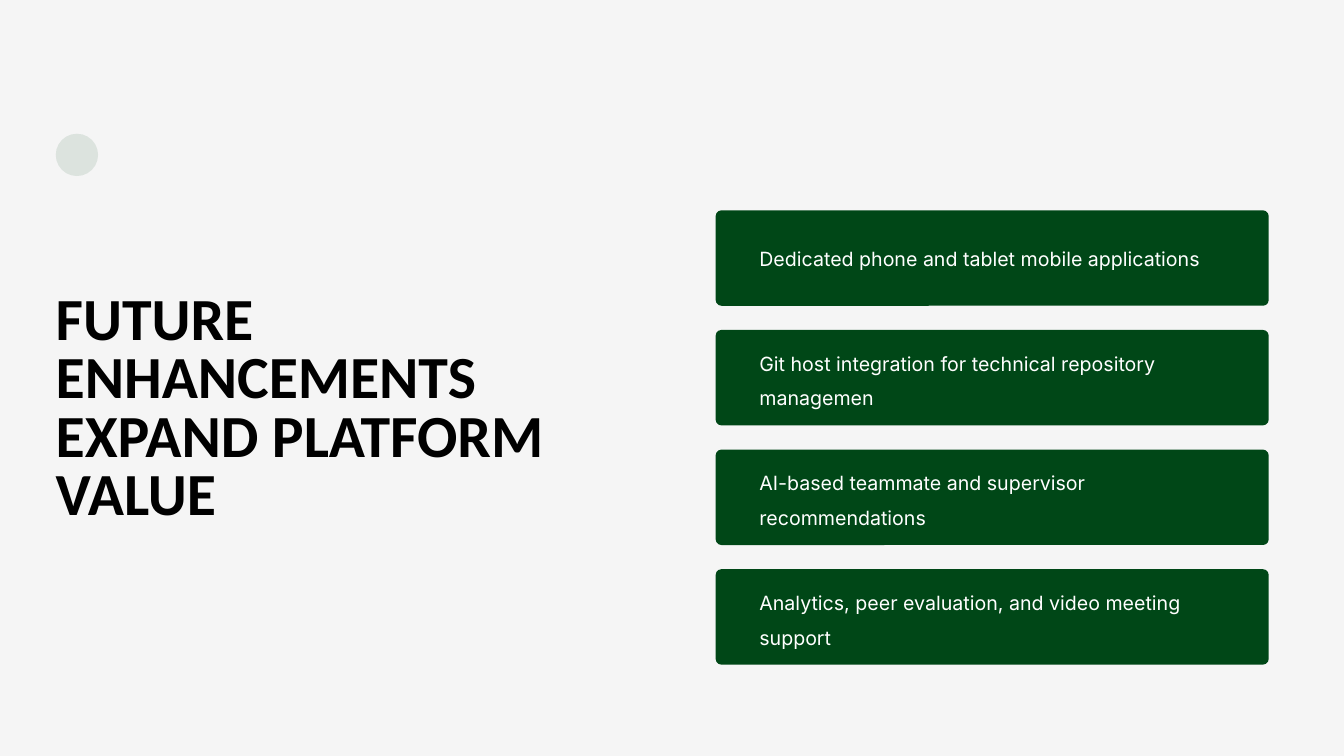
import pptx
import pptx.util
import pptx.dml.color
import pptx.enum.shapes
import pptx.enum.text
import lxml.etree
from pptx.util import Inches, Pt

GREEN = "004717"
ENHANCEMENTS = [
    # text, number of lines it fills
    ("Dedicated phone and tablet mobile applications", 1),
    ("Git host integration for technical repository managemen", 2),
    ("AI-based teammate and supervisor recommendations", 2),
    ("Analytics, peer evaluation, and video meeting support", 2),
]
TEXT_BOXES = {1: (0.38, 0.47), 2: (0.16, 0.98)}  # lines: top offset, height


def rgb(color):
    return pptx.dml.color.RGBColor.from_string(color)


def add_shape(slide, kind, x, y, w, h, color, alpha=None):
    """Add a filled, unlined preset shape; alpha is opacity in percent."""
    sp = slide.shapes.add_shape(kind, Inches(x), Inches(y), Inches(w), Inches(h))
    sp.shadow.inherit = False
    sp.line.fill.background()
    sp.fill.solid()
    sp.fill.fore_color.rgb = rgb(color)
    if alpha is not None:
        ns = pptx.oxml.ns.qn
        clr = sp.fill._xPr.find(ns("a:solidFill")).find(ns("a:srgbClr"))
        lxml.etree.SubElement(clr, ns("a:alpha"), val=str(alpha * 1000))
    return sp


def add_text(slide, text, x, y, w, h, font, size, color, spacing, bold=False):
    sp = slide.shapes.add_textbox(Inches(x), Inches(y), Inches(w), Inches(h))
    tf = sp.text_frame
    tf.word_wrap = True
    tf.auto_size = pptx.enum.text.MSO_AUTO_SIZE.SHAPE_TO_FIT_TEXT
    tf.margin_left = tf.margin_right = tf.margin_top = tf.margin_bottom = 0
    p = tf.paragraphs[0]
    p.line_spacing = Pt(spacing)
    r = p.add_run()
    r.text = text
    r.font.name = font
    r.font.size = Pt(size)
    r.font.bold = bold
    r.font.color.rgb = rgb(color)


def add_heading(slide, x, y, w):
    """Place the pale dot and the slide title below it."""
    add_shape(slide, pptx.enum.shapes.MSO_SHAPE.OVAL, x, y, 0.63, 0.63, GREEN, alpha=10)
    add_text(slide, "FUTURE ENHANCEMENTS EXPAND PLATFORM VALUE", x, y + 2.38, w, 3.51,
             font="Calibri", size=64, color="000000", spacing=62.7, bold=True)


def add_card(slide, text, lines, x, y, w, h):
    sp = add_shape(slide, pptx.enum.shapes.MSO_SHAPE.ROUNDED_RECTANGLE, x, y, w, h, GREEN)
    sp.adjustments[0] = 0.06
    top, height = TEXT_BOXES[lines]
    add_text(slide, text, x + 0.65, y + top, w - 1.31, height,
             font="Inter", size=21, color="FFFFFF", spacing=37)


def add_cards(slide, x, y, w, h, card_h=1.42):
    """Stack the cards evenly so that they fill the given height."""
    step = (h - card_h) / (len(ENHANCEMENTS) - 1)
    for i, (text, lines) in enumerate(ENHANCEMENTS):
        add_card(slide, text, lines, x, y + i * step, w, card_h)


def main():
    prs = pptx.Presentation()
    prs.slide_width, prs.slide_height = Inches(20), Inches(11.25)
    s = prs.slides.add_slide(prs.slide_layouts[6])
    s.background.fill.solid()
    s.background.fill.fore_color.rgb = rgb("F5F5F5")
    add_cards(s, 10.65, 3.13, 8.23, 6.76)
    add_heading(s, 0.83, 1.99, 9.17)
    prs.save("out.pptx")


if __name__ == "__main__":
    main()
